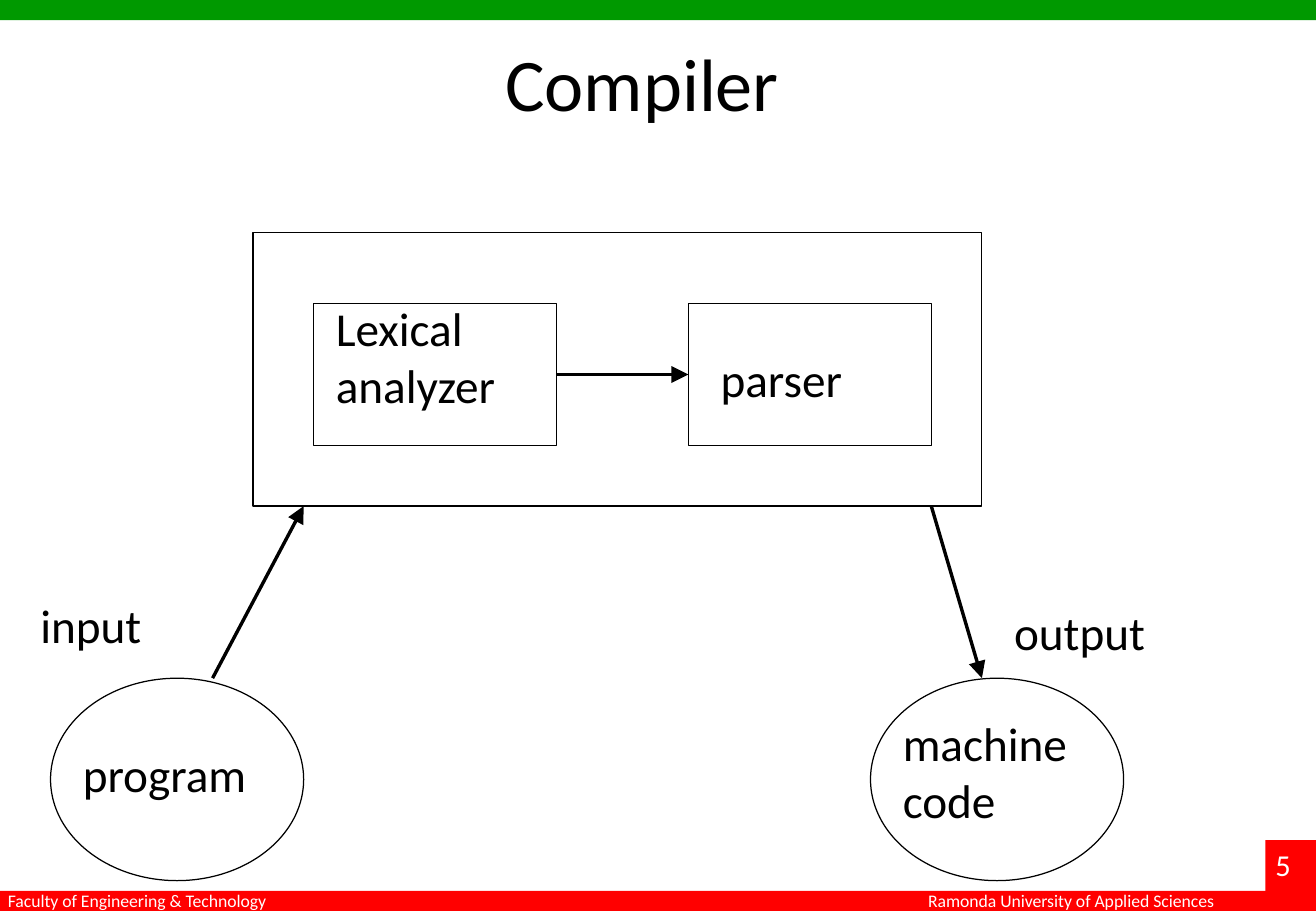
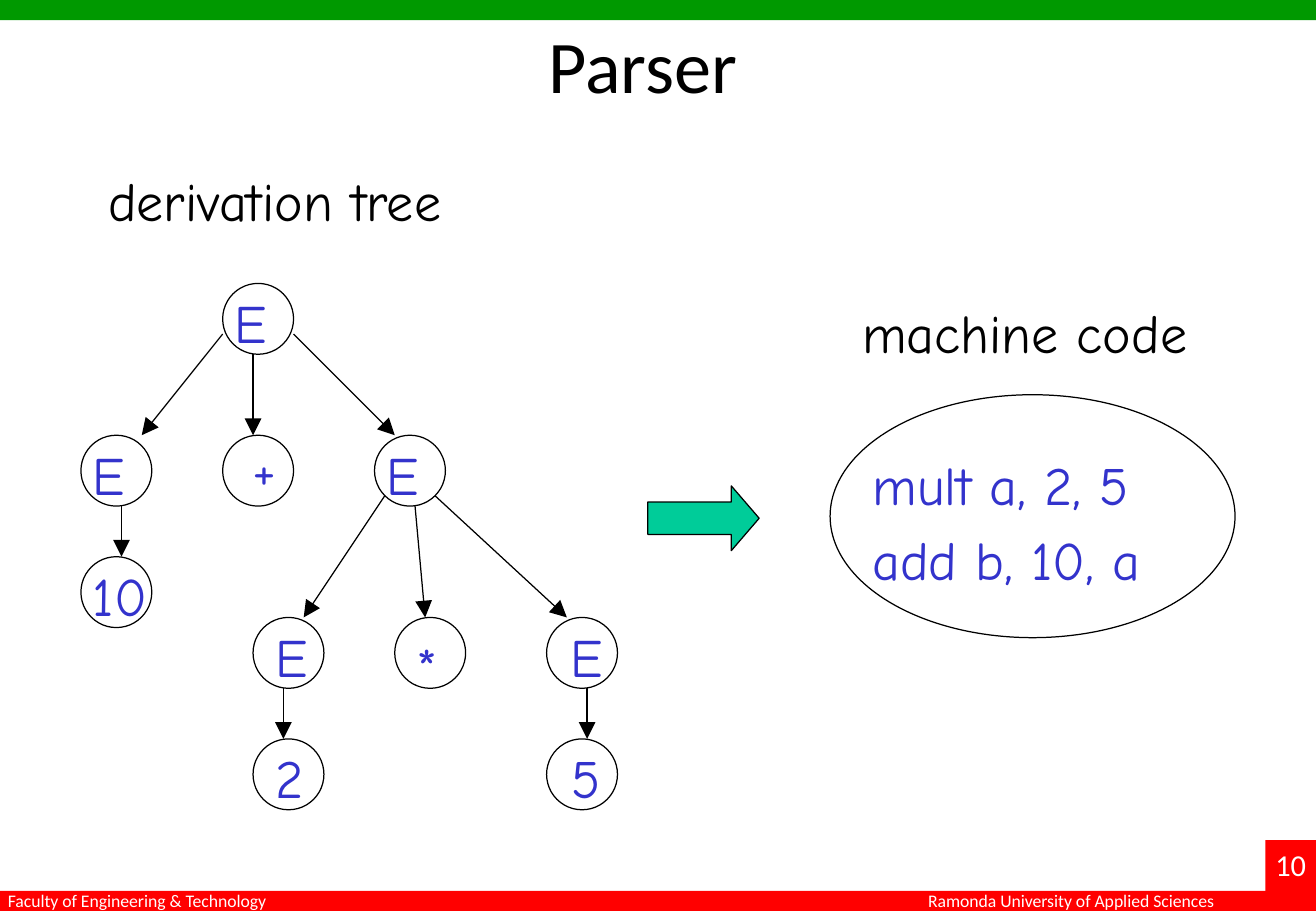
from lxml import etree
from pptx import Presentation
from pptx.dml.color import RGBColor
from pptx.enum.shapes import MSO_CONNECTOR, MSO_SHAPE
from pptx.enum.text import MSO_ANCHOR, MSO_AUTO_SIZE, PP_ALIGN
from pptx.oxml.ns import qn
from pptx.util import Cm, Pt

RECT = MSO_SHAPE.RECTANGLE
OVAL = MSO_SHAPE.OVAL
BLOCK_ARROW = MSO_SHAPE.RIGHT_ARROW
STRAIGHT = MSO_CONNECTOR.STRAIGHT
TOP = MSO_ANCHOR.TOP
LEFT = PP_ALIGN.LEFT
FIT_SHAPE = MSO_AUTO_SIZE.SHAPE_TO_FIT_TEXT

COLORS = {
    "ink": "000000",
    "paper": "FFFFFF",
    "top band": "009900",
    "bottom band": "FF0000",
    "symbol": "3333CC",
    "block arrow": "00CC99",
}
BODY_FONT = "Calibri"
HAND_FONT = "Comic Neue"

# The slide is a grid of 130 by 90 units, twelve to the inch
WIDTH, HEIGHT = 130, 90
BAND = 2
PAGE_TAB = 5
NODE = 7
TITLE_ONLY = 5


def grid(units):
    return Cm(units * 2.54 / 12)


def rgb(name):
    return RGBColor.from_string(COLORS[name])


# Text
def write(frame, text, size, font, color, gap=0):
    frame.text = text
    frame.word_wrap = False
    frame.auto_size = FIT_SHAPE
    frame.vertical_anchor = TOP
    for paragraph in frame.paragraphs:
        paragraph.alignment = LEFT
        paragraph.space_before = Pt(gap)
        paragraph.font.size = Pt(size)
        paragraph.font.name = font
        paragraph.font.color.rgb = rgb(color)


def text_height(text, size):
    lines = text.count("\n") + 1
    return grid(1.2 + 0.2 * size * lines)


def add_label(slide, text, x, y, width, size=28, font=BODY_FONT,
              color="ink", gap=0):
    label = slide.shapes.add_textbox(grid(x), grid(y), grid(width),
                                     text_height(text, size))
    write(label.text_frame, text, size, font, color, gap)


def add_hand_label(slide, text, x, y, width, color="symbol"):
    add_label(slide, text, x, y, width, 32, HAND_FONT, color, gap=6.4)


def set_title(slide, text, x, y, width):
    title = slide.shapes.title
    title.left, title.top = grid(x), grid(y)
    title.width, title.height = grid(width), text_height(text, 44)
    write(title.text_frame, text, 44, BODY_FONT, "ink")


# Shapes and arrows
def add_figure(slide, kind, x, y, width, height, fill=None, line="ink"):
    figure = slide.shapes.add_shape(kind, grid(x), grid(y),
                                    grid(width), grid(height))
    figure.shadow.inherit = False
    if fill:
        figure.fill.solid()
        figure.fill.fore_color.rgb = rgb(fill)
    else:
        figure.fill.background()
    if line:
        figure.line.color.rgb = rgb(line)
        figure.line.width = Pt(0.75)
    else:
        figure.line.fill.background()
    return figure


def add_arrow(slide, x1, y1, x2, y2, weight=0.75):
    arrow = slide.shapes.add_connector(STRAIGHT, grid(x1), grid(y1),
                                       grid(x2), grid(y2))
    arrow.line.color.rgb = rgb("ink")
    arrow.line.width = Pt(weight)
    etree.SubElement(arrow.line._get_or_add_ln(), qn("a:tailEnd"),
                     type="triangle", w="lg", len="lg")
    etree.SubElement(arrow._element.spPr, qn("a:effectLst"))


# Bands, footers and page number shared by all slides
def add_slide(deck, page):
    slide = deck.slides.add_slide(deck.slide_layouts[TITLE_ONLY])
    tab_x, tab_y = WIDTH - PAGE_TAB, HEIGHT - BAND - PAGE_TAB
    for x, y, width, height, fill in (
        (0, 0, WIDTH, BAND, "top band"),
        (0, HEIGHT - BAND, WIDTH, BAND, "bottom band"),
        (tab_x, tab_y, PAGE_TAB, PAGE_TAB + BAND, "bottom band"),
    ):
        add_figure(slide, RECT, x, y, width, height, fill, line=None)
    for text, x, y, width, size in (
        ("Faculty of Engineering & Technology", -0.4, 87.3, 28.6, 10.5),
        ("Ramonda University of Applied Sciences", 90.5, 87.3, 33, 10.5),
        (str(page), 124.8, tab_y, 6, 18),
    ):
        add_label(slide, text, x, y, width, size, color="paper")
    return slide


def build_compiler(deck):
    slide = add_slide(deck, 5)
    set_title(slide, "Compiler", 48.7, 3.1, 29.8)

    # Compiler with its two stages, program and machine code
    for kind, x, y, width, height in (
        (RECT, 25, 23, 72, 27),
        (RECT, 31, 30, 24, 14),
        (RECT, 68, 30, 24, 14),
        (OVAL, 5, 67, 25, 20),
        (OVAL, 86, 67, 25, 20),
    ):
        add_figure(slide, kind, x, y, width, height)

    for ends in ((55, 37, 68, 37), (21, 67, 30, 50), (92, 50, 97, 67)):
        add_arrow(slide, *ends, weight=2)

    for text, x, y, width in (
        ("Lexical\nanalyzer", 32, 29, 18.2),
        ("parser", 70, 34, 14.5),
        ("program", 7, 73, 18.7),
        ("machine\ncode", 88, 70, 18.8),
        ("input", 2.8, 58.3, 12.5),
        ("output", 99, 59, 15.5),
    ):
        add_label(slide, text, x, y, width)


def build_parser(deck):
    slide = add_slide(deck, 10)
    set_title(slide, "Parser", 53, 1.3, 21.2)

    # Derivation tree: symbol, node corner, label offset, label width
    add_hand_label(slide, "derivation tree", 9.5, 16, 40, "ink")
    for symbol, x, y, dx, dy, width in (
        ("E", 22, 28, 0, 0, 5.8),
        ("E", 8, 43, 0, 0, 5.8),
        ("+", 22, 43, 1.8, -0.6, 4.9),
        ("E", 37, 43, 0, 0, 5.8),
        ("10", 8, 55, 0, 0, 8),
        ("E", 25, 61, 1, 0, 5.8),
        ("*", 39, 61, 1, 1, 5.3),
        ("E", 54, 61, 1.2, 0, 5.8),
        ("2", 25, 73, 1, 0, 5.6),
        ("5", 54, 73, 1.3, 0, 5.6),
    ):
        add_figure(slide, OVAL, x, y, NODE, NODE)
        add_hand_label(slide, symbol, x + dx, y + dy, width)

    for branch in (
        (22, 33, 14, 43), (25, 35, 25, 43), (29, 33, 39, 43),
        (12, 50, 12, 55),
        (38, 49, 30, 61), (41, 50, 42, 61), (43, 49, 56, 61),
        (28, 68, 28, 73), (58, 68, 58, 73),
    ):
        add_arrow(slide, *branch)

    # Generated machine code
    step = add_figure(slide, BLOCK_ARROW, 64, 48, 11, 6.4, "block arrow")
    step.adjustments[0] = 0.5
    step.adjustments[1] = 0.43
    add_hand_label(slide, "machine code", 84, 29, 35.5, "ink")
    add_figure(slide, OVAL, 82, 39, 40, 24)
    add_hand_label(slide, "mult a, 2, 5\nadd b, 10, a", 85, 44, 32.3)


def main():
    deck = Presentation()
    deck.slide_width, deck.slide_height = grid(WIDTH), grid(HEIGHT)
    build_compiler(deck)
    build_parser(deck)
    deck.save("out.pptx")


main()
